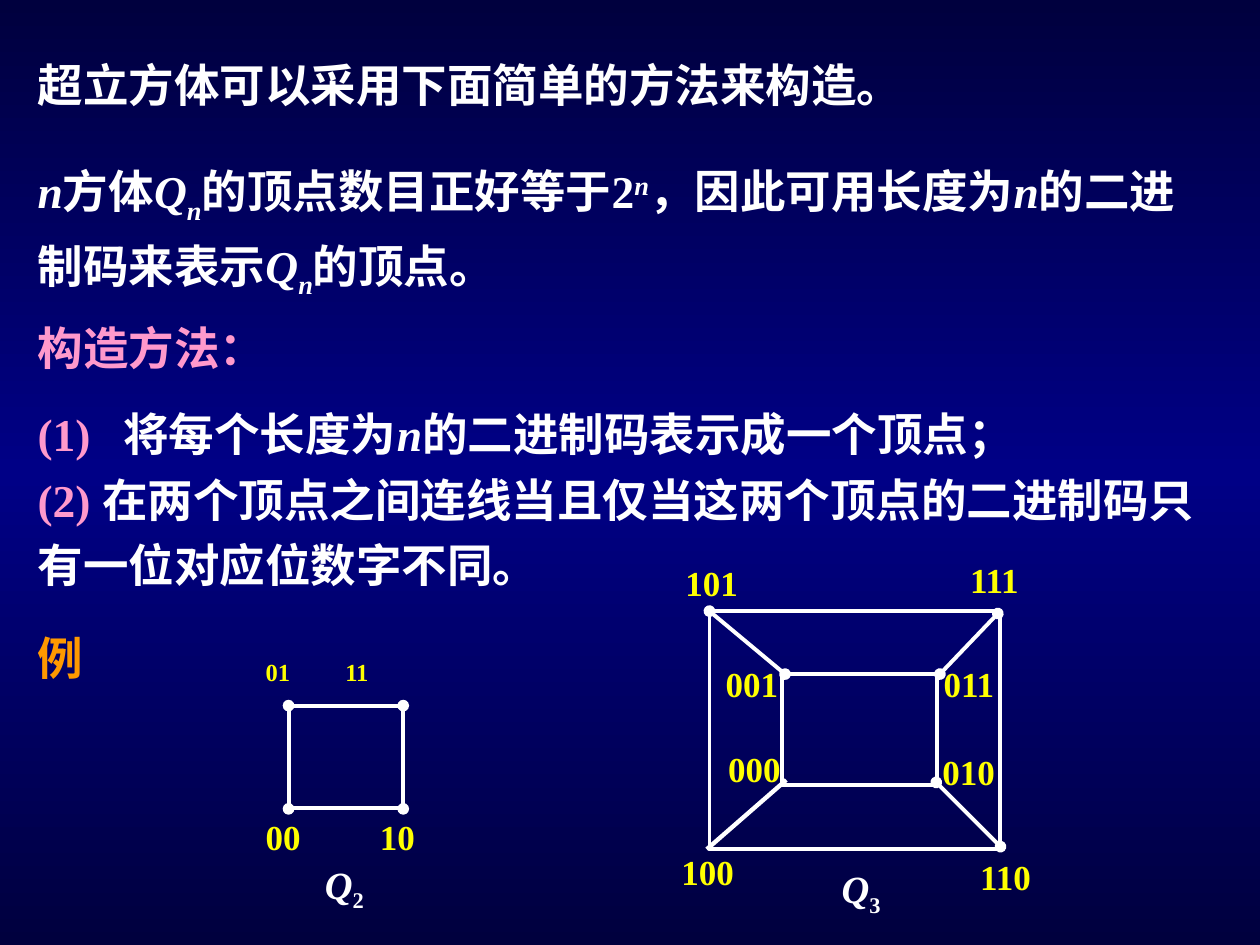
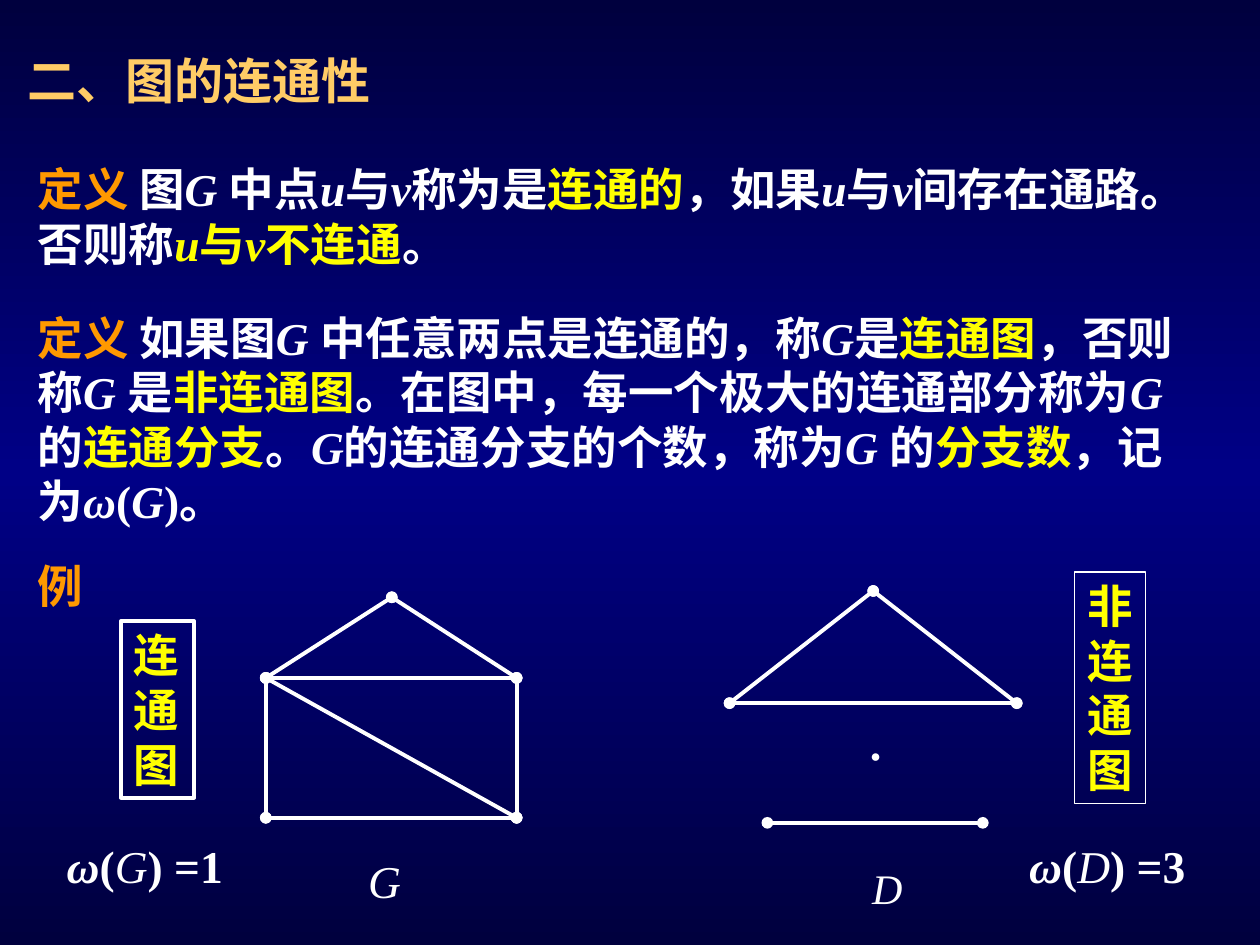
from copy import deepcopy
from dataclasses import dataclass
from typing import NamedTuple, Optional, Union

from lxml.etree import SubElement
from pptx import Presentation
from pptx.dml.color import RGBColor
from pptx.enum.shapes import MSO_CONNECTOR as Link, MSO_SHAPE as Form
from pptx.enum.text import MSO_ANCHOR as Anchor, MSO_AUTO_SIZE as Fit, PP_ALIGN as Align
from pptx.oxml.ns import qn
from pptx.util import Pt

NIGHT = RGBColor(0x00, 0x00, 0x3E)
BLUE = RGBColor(0x00, 0x00, 0x86)
WHITE = RGBColor(0xFF, 0xFF, 0xFF)
PINK = RGBColor(0xFF, 0x99, 0xCC)
ORANGE = RGBColor(0xFF, 0x99, 0x00)
GOLD = RGBColor(0xFF, 0xCC, 0x66)
YELLOW = RGBColor(0xFF, 0xFF, 0x00)

LATIN = "Times New Roman"
HAN = "Noto Sans CJK SC"
LEFT = 14.4
BODY = 26
THICK = 2.25


class Run(NamedTuple):
    words: str
    color: Optional[RGBColor] = None
    tilt: bool = False
    base: int = 0
    bold: Optional[bool] = None


Line = list[Union[Run, str]]


class Spot(NamedTuple):
    x: float
    y: float


class Box(NamedTuple):
    x: float
    y: float
    w: float
    h: float


@dataclass
class Style:
    size: float = BODY
    color: RGBColor = WHITE
    bold: bool = True
    space: Optional[float] = None
    tab: Optional[float] = None
    han: str = HAN
    wrap: bool = True


@dataclass
class Edge:
    start: Spot
    end: Spot
    dots: bool = True
    width: float = THICK


def var(name: str, color: Optional[RGBColor] = None) -> Run:
    """An italic variable."""
    return Run(name, color, tilt=True)


def low(name: str, tilt: bool = True) -> Run:
    """A subscript."""
    return Run(name, tilt=tilt, base=-25)


def hot(words: str) -> Run:
    """A highlighted term."""
    return Run(words, YELLOW)


def fill_text(frame, lines: list[Line], style: Style) -> None:
    frame.word_wrap = style.wrap
    frame.auto_size = Fit.NONE
    frame.vertical_anchor = Anchor.TOP
    frame.margin_left = frame.margin_right = Pt(7.2)
    frame.margin_top = frame.margin_bottom = Pt(3.6)
    for num, line in enumerate(lines):
        para = frame.add_paragraph() if num else frame.paragraphs[0]
        para.alignment = Align.LEFT
        if style.space:
            para.line_spacing = style.space
        props = para._p.get_or_add_pPr()
        if style.tab:
            tabs = SubElement(props, qn("a:tabLst"))
            SubElement(tabs, qn("a:tab"), pos=str(Pt(style.tab)), algn="l")
        font = para.font
        font.name, font.size, font.bold = LATIN, Pt(style.size), style.bold
        font.color.rgb = style.color
        SubElement(props.find(qn("a:defRPr")), qn("a:ea"), typeface=style.han)
        for part in line:
            piece = Run(part) if isinstance(part, str) else part
            run = para.add_run()
            run.text = piece.words
            if piece.color is not None:
                run.font.color.rgb = piece.color
            if piece.tilt:
                run.font.italic = True
            if piece.bold is not None:
                run.font.bold = piece.bold
            if piece.base:
                run._r.get_or_add_rPr().set("baseline", str(piece.base * 1000))


def add_text(slide, box: Box, lines: list[Line], style: Style) -> None:
    shape = slide.shapes.add_textbox(*map(Pt, box))
    fill_text(shape.text_frame, lines, style)


def add_frame(slide, box: Box, width: float = THICK):
    """Draw an unfilled white rectangle."""
    shape = slide.shapes.add_shape(Form.RECTANGLE, *map(Pt, box))
    shape.shadow.inherit = False
    shape.fill.background()
    shape.line.color.rgb = WHITE
    shape.line.width = Pt(width)
    return shape


def add_edge(slide, edge: Edge) -> None:
    link = slide.shapes.add_connector(
        Link.STRAIGHT, *map(Pt, (*edge.start, *edge.end)))
    link.line.color.rgb = WHITE
    link.line.width = Pt(edge.width)
    props = link._element.spPr
    if edge.dots:
        for end in ("a:headEnd", "a:tailEnd"):
            SubElement(props.find(qn("a:ln")), qn(end), type="oval")
    SubElement(props, qn("a:effectLst"))


def paint_back(master) -> None:
    fill = master.background.fill
    fill.gradient()
    fill.gradient_angle = 90
    stops = master.element.find(".//" + qn("a:gsLst"))
    stops.append(deepcopy(stops[-1]))
    for stop, pos, color in zip(fill.gradient_stops, (0, 0.5, 1), (NIGHT, BLUE, NIGHT)):
        stop.position = pos
        stop.color.rgb = color


def draw_cubes(slide) -> None:
    """Hypercubes: the method, then Q2 and Q3."""
    body = Style()
    wide = Style(space=1.2)
    add_text(slide, Box(LEFT, 28.8, 612, 38.9),
             [["超立方体可以采用下面简单的方法来构造。"]], body)
    add_text(slide, Box(LEFT, 82.8, 680.4, 92.9), [[
        var("n"), "方体", var("Q"), low("n"), "的顶点数目正好等于", "2",
        Run("n", tilt=True, base=30), "，因此可用长度为", var("n"),
        "的二进制码来表示", var("Q"), low("n"), "的顶点。"]], wide)
    add_text(slide, Box(LEFT, 179.3, 680.4, 38.9), [["构造方法："]], Style(color=PINK))
    add_text(slide, Box(LEFT, 222.5, 686.2, 119.5), [
        [Run("(1)\t", PINK), "将每个长度为", var("n"), "的二进制码表示成一个顶点；"],
        [Run("(2) ", PINK),
         "在两个顶点之间连线当且仅当这两个顶点的二进制码只有一位对应位数字不同。"],
    ], Style(space=1.2, tab=49))
    add_text(slide, Box(LEFT, 356.4, 64, 38.9), [["例"]], Style(color=ORANGE))

    add_frame(slide, Box(405.4, 349.2, 166.3, 136.1))
    add_frame(slide, Box(447.1, 385.2, 88.6, 63.4))
    west, east, top, base = 164.9, 230.4, 403.2, 462.2
    for edge in (
        Edge(Spot(405.4, 349.2), Spot(448.6, 385.2)),
        Edge(Spot(535, 447.1), Spot(571.7, 483.8)),
        Edge(Spot(570.2, 350.6), Spot(537.1, 385.2)),
        Edge(Spot(449.3, 445.7), Spot(403.9, 485.3), False, 2.5),
        Edge(Spot(west, top), Spot(west, base)),
        Edge(Spot(east, top), Spot(east, base)),
        Edge(Spot(west, top), Spot(east, top), False),
        Edge(Spot(west, base - 0.7), Spot(east, base - 0.7), False),
    ):
        add_edge(slide, edge)

    codes = {
        "101": Spot(384.5, 317.5), "111": Spot(547.2, 315.4),
        "100": Spot(382.3, 482.4), "110": Spot(553, 485.3),
        "001": Spot(407.5, 375.1), "000": Spot(409, 423.4),
        "011": Spot(532.1, 375.1), "010": Spot(531.4, 425.5),
    }
    for code, spot in codes.items():
        add_text(slide, Box(*spot, 51.1, 31.7), [[code]], Style(20, YELLOW))
    add_text(slide, Box(144.7, 372.2, 114.5, 26.6), [["01\t11"]],
             Style(14, YELLOW, tab=45.5))
    add_text(slide, Box(144.7, 462.2, 102.2, 31.7), [["00\t10"]],
             Style(20, YELLOW, tab=65.3))
    for rank, spot in (("2", Spot(178.6, 488.2)), ("3", Spot(473.8, 491))):
        add_text(slide, Box(*spot, 46.1, 37.4),
                 [[var("Q"), low(rank, False)]], Style(22))


def draw_graphs(slide) -> None:
    """Connectivity: definitions, then graphs G and D."""
    title = slide.shapes.title
    title.left, title.top, title.width, title.height = map(Pt, (8.6, 25.2, 303.1, 41))
    fill_text(title.text_frame, [["二、图的连通性"]], Style(28, GOLD))

    body = Style()
    term = Run("定义", ORANGE)
    add_text(slide, Box(LEFT, 88.6, 686.2, 69.8), [[
        term, " 图", var("G "), "中点", var("u"), "与", var("v"), "称为是",
        hot("连通的"), "，如果", var("u"), "与", var("v"), "间存在通路。否则称",
        var("u", YELLOW), hot("与"), var("v", YELLOW), hot("不连通"), "。"]], body)
    add_text(slide, Box(LEFT, 173.5, 680.4, 132.5), [[
        term, " 如果图", var("G "), "中任意两点是连通的，称", var("G"), "是",
        hot("连通图"), "，否则称", var("G "), "是", hot("非连通图"),
        "。在图中，每一个极大的连通部分称为", var("G"), "的", hot("连通分支"), "。",
        var("G"), "的连通分支的个数，称为", var("G "), "的", hot("分支数"),
        "，记为", var("ω"), "(", var("G"), ")。"]], body)
    add_text(slide, Box(LEFT, 315.4, 96.5, 38.9), [["例"]], Style(color=ORANGE))

    tag = add_frame(slide, Box(69.1, 355, 41.8, 100.8))
    fill_text(tag.text_frame, [["连通图"]], Style(color=YELLOW))
    tag = add_frame(slide, Box(614.2, 326.9, 40.3, 132.5), 0.75)
    fill_text(tag.text_frame, [[sign] for sign in "非连通图"],
              Style(color=YELLOW, wrap=False))

    roof, nw, ne = Spot(223.9, 341.3), Spot(151.9, 387.4), Spot(295.2, 387.4)
    sw, se = Spot(nw.x, 467.3), Spot(ne.x, 467.3)
    peak, west, east = Spot(499, 337.7), Spot(416.9, 401.8), Spot(581, 401.8)
    pairs = [(sw, se), (nw, ne), (sw, nw), (nw, roof), (nw, se), (roof, ne), (ne, se),
             (west, east), (west, peak), (peak, east),
             (Spot(438.5, 470.2), Spot(561.6, 470.2))]
    for start, end in pairs:
        add_edge(slide, Edge(start, end))
    add_text(slide, Box(490.3, 421.9, 20.2, 19.4), [["●"]],
             Style(10, bold=False, han=LATIN, wrap=False))

    add_text(slide, Box(203.3, 483.8, 42.2, 38.9), [[var("G")]], Style(bold=False))
    add_text(slide, Box(491.3, 489.6, 44.4, 36), [[var("D")]], Style(24, bold=False))
    for x, name, count in ((31, "G", 1), (581, "D", 3)):
        add_text(slide, Box(x, 475.2, 118.8, 38.9), [[
            var("ω"), "(", Run(name, tilt=True, bold=False), f") ={count}"]], body)


def main() -> None:
    deck = Presentation()
    deck.slide_width, deck.slide_height = Pt(720), Pt(540)
    paint_back(deck.slide_master)
    plain, titled = deck.slide_layouts[6], deck.slide_layouts[5]
    draw_cubes(deck.slides.add_slide(plain))
    draw_graphs(deck.slides.add_slide(titled))
    deck.save("out.pptx")


if __name__ == "__main__":
    main()
